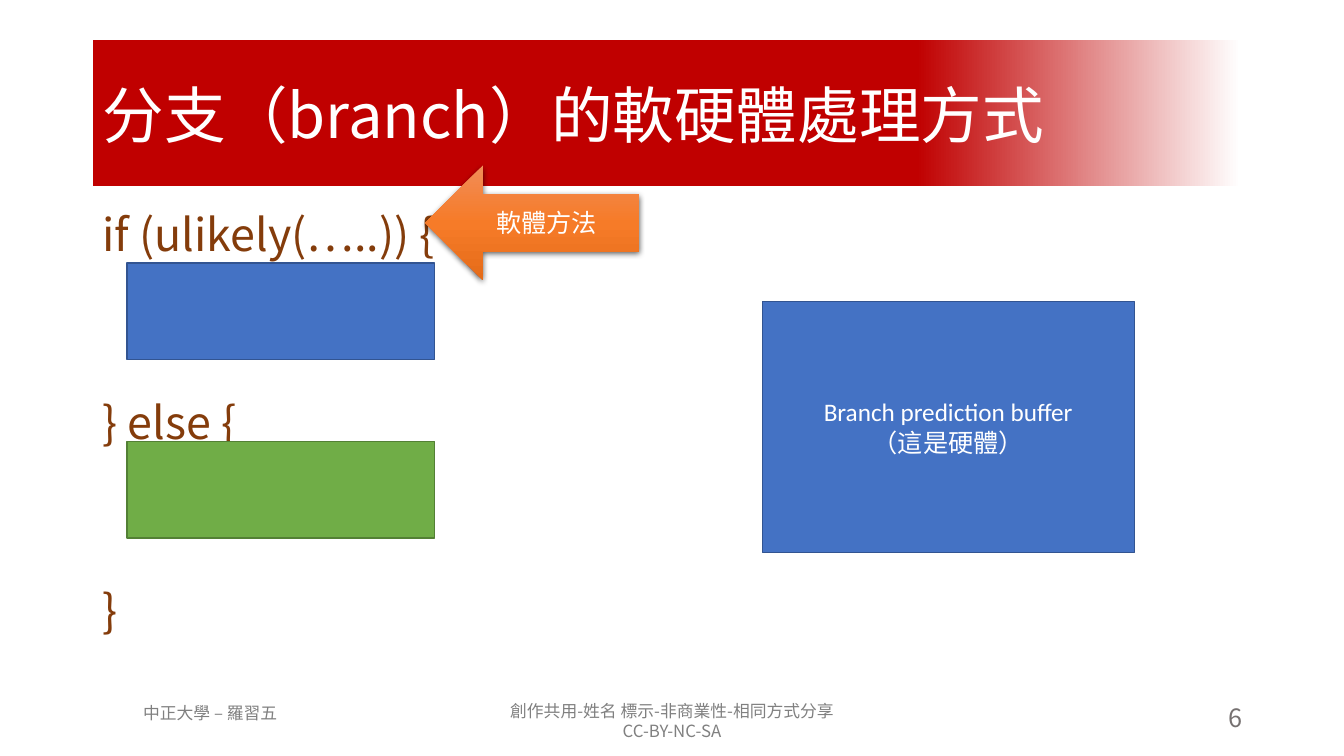
from lxml import etree
from pptx import Presentation
from pptx.dml.color import RGBColor
from pptx.enum.shapes import MSO_SHAPE as Shape
from pptx.enum.text import MSO_ANCHOR as Anchor, PP_ALIGN as Align
from pptx.oxml import parse_xml
from pptx.oxml.ns import nsdecls, qn
from pptx.util import Inches, Pt

WIDTH, HEIGHT = 13.33, 7.5
MARGIN = 0.92
CONTENT_WIDTH = 11.5
CJK_FONT, LATIN_FONT = "Noto Sans CJK SC", "Calibri"
RED, WHITE, BROWN, GRAY, DARK_GRAY = "C00000", "FFFFFF", "843C0B", "808080", "767171"
BLUE, BLUE_EDGE, GREEN, GREEN_EDGE = "4472C4", "325491", "70AD47", "538035"


def color(hex_value):
    return RGBColor.from_string(hex_value)


def place(shape, box):
    shape.left, shape.top, shape.width, shape.height = map(Inches, box)


def write(shape, lines, size=18, ink=WHITE, font=CJK_FONT, align=Align.CENTER,
          anchor=Anchor.MIDDLE, leading=None, gap=0):
    """Fill a shape with one paragraph per line; leading is a multiple of size."""
    frame = shape.text_frame
    frame.word_wrap = True
    frame.vertical_anchor = anchor
    for index, line in enumerate(lines):
        paragraph = frame.paragraphs[0] if index == 0 else frame.add_paragraph()
        paragraph.alignment = align
        paragraph.space_before = Pt(gap if index else 0)
        if leading:
            paragraph.line_spacing = Pt(size * leading)
        run = paragraph.add_run()
        run.text = line
        run.font.size = Pt(size)
        run.font.name = font
        run.font.color.rgb = color(ink)
        east_asian = etree.SubElement(run.font._element, qn("a:ea"))
        east_asian.set("typeface", CJK_FONT)


def add_text(slide, box, lines, **style):
    shape = slide.shapes.add_textbox(*map(Inches, box))
    write(shape, lines, **style)


def add_block(slide, kind, box, fill=None, edge=None):
    shape = slide.shapes.add_shape(kind, *map(Inches, box))
    shape.shadow.inherit = False
    if fill:
        shape.fill.solid()
        shape.fill.fore_color.rgb = color(fill)
    if edge:
        shape.line.color.rgb = color(edge)
        shape.line.width = Pt(1)
    else:
        shape.line.fill.background()
    return shape


def set_gradient(shape, stops, angle):
    """Give a shape a linear gradient of (percent, colour) stops."""
    marks = "".join(f'<a:gs pos="{percent * 1000}"><a:srgbClr val="{value}"/></a:gs>'
                    for percent, value in stops)
    gradient = parse_xml(f'<a:gradFill {nsdecls("a")} rotWithShape="1"><a:gsLst>{marks}</a:gsLst>'
                         f'<a:lin ang="{angle * 60000}" scaled="0"/></a:gradFill>')
    shape.fill.solid()
    solid = shape._element.spPr.find(qn("a:solidFill"))
    solid.getparent().replace(solid, gradient)


def set_shadow(shape, blur, distance, opacity):
    effects = shape._element.spPr.find(qn("a:effectLst"))
    effects.append(parse_xml(
        f'<a:outerShdw {nsdecls("a")} blurRad="{Pt(blur)}" dist="{Pt(distance)}" dir="5400000" '
        f'algn="ctr" rotWithShape="0"><a:srgbClr val="000000">'
        f'<a:alpha val="{opacity * 1000}"/></a:srgbClr></a:outerShdw>'))


def build_title(slide, box):
    title = slide.shapes.title
    place(title, box)
    set_gradient(title, [(0, RED), (71, RED), (99, WHITE)], 0)
    write(title, ["分支（branch）的軟硬體處理方式"], size=44, align=Align.LEFT, leading=1.2)


def build_code(slide, box):
    left, top, width, height = box
    add_text(slide, box, ["if (ulikely(…..)) {", "} else {", "}"], size=32, ink=BROWN,
             align=Align.LEFT, anchor=Anchor.TOP, leading=1.2, gap=96)
    # Branch bodies
    for row, (fill, edge) in enumerate([(BLUE, BLUE_EDGE), (GREEN, GREEN_EDGE)]):
        add_block(slide, Shape.RECTANGLE, (left + 0.34, top + 0.61 + row * 1.77, 3.05, 0.96),
                  fill, edge)


def build_hardware(slide, box):
    buffer = add_block(slide, Shape.RECTANGLE, box, BLUE, BLUE_EDGE)
    write(buffer, ["Branch prediction buffer", "（這是硬體）"], font=LATIN_FONT)


def build_software_arrow(slide, box):
    arrow = add_block(slide, Shape.LEFT_ARROW, box)
    set_gradient(arrow, [(0, "F18C57"), (50, "F67B28"), (100, "E56C19")], 90)
    set_shadow(arrow, 4.5, 1.5, 63)
    write(arrow, ["軟體方法"], font=LATIN_FONT)


def build_footer(slide, box):
    left, top, width, height = box
    style = {"anchor": Anchor.TOP, "leading": 1.2}
    add_text(slide, (left - 0.09, top + 0.02, 2.51, 0.3), ["中正大學 – 羅習五"],
             size=12, ink=GRAY, **style)
    add_text(slide, ((WIDTH - 4.92) / 2, top, 4.92, height),
             ["創作共用-姓名 標示-非商業性-相同方式分享", "CC-BY-NC-SA"],
             size=12, ink=GRAY, **style)
    add_text(slide, (left + width - 2.12, top + 0.02, 2.12, 0.4), ["6"],
             size=18, ink=DARK_GRAY, align=Align.RIGHT, **style)


def main():
    presentation = Presentation()
    presentation.slide_width = Inches(WIDTH)
    presentation.slide_height = Inches(HEIGHT)
    slide = presentation.slides.add_slide(presentation.slide_layouts[5])
    build_footer(slide, (MARGIN, 6.9, CONTENT_WIDTH, 0.5))
    build_title(slide, (MARGIN, 0.4, CONTENT_WIDTH, 1.45))
    build_code(slide, (MARGIN, 2, CONTENT_WIDTH, 4.76))
    build_hardware(slide, (7.56, 2.99, 3.69, 2.49))
    build_software_arrow(slide, (4.22, 1.64, 2.12, 1.14))
    presentation.save("out.pptx")


if __name__ == "__main__":
    main()
